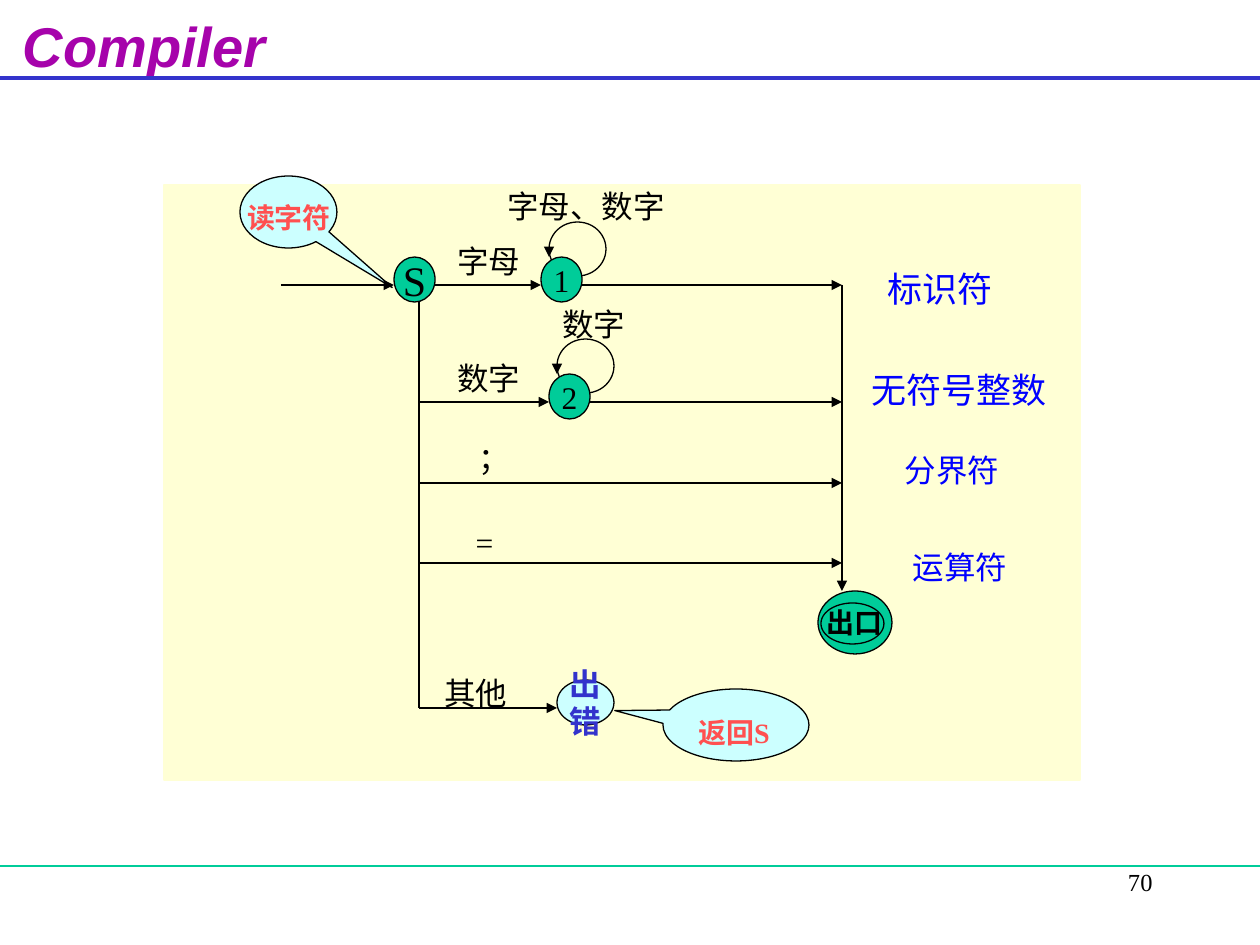
from pptx import Presentation
from pptx.dml.color import RGBColor
from pptx.enum.shapes import MSO_CONNECTOR, MSO_SHAPE
from pptx.enum.text import MSO_ANCHOR, PP_ALIGN
from pptx.oxml.ns import qn
from pptx.util import Inches, Pt
from lxml.etree import SubElement

SCALE = 914400 / 126
OVAL = MSO_SHAPE.OVAL
CALL = MSO_SHAPE.OVAL_CALLOUT
hue = RGBColor.from_string


def emu(*nums):
    return [round(num * SCALE) for num in nums]


def write(shape, words, tint, size, bold=False, face="Times New Roman",
          slant=False, align=PP_ALIGN.CENTER, anchor=MSO_ANCHOR.MIDDLE):
    frame = shape.text_frame
    frame.text = words
    frame.word_wrap = False
    frame.vertical_anchor = anchor
    form = {"name": face, "size": Pt(size), "bold": bold, "italic": slant}
    for para in frame.paragraphs:
        para.alignment = align
        para.font.color.rgb = hue(tint)
        for key, value in form.items():
            setattr(para.font, key, value)


deck = Presentation()
deck.slide_width, deck.slide_height = Inches(10), Inches(7.5)
slide = deck.slides.add_slide(deck.slide_layouts[5])
shapes = slide.shapes

title = shapes.title
place = dict(zip(("left", "top", "width", "height"), emu(10, 5, 300, 78)))
for key, value in place.items():
    setattr(title, key, value)
write(title, "Compiler", "A603AB", 32, True, "Arial", True,
      PP_ALIGN.LEFT, MSO_ANCHOR.TOP)

forms = [
    (MSO_SHAPE.RECTANGLE, (164, 185, 916, 595), "FFFFD5", "FFFFD5", None),
    (OVAL, (549, 222, 57, 54), None, "000000", None),
    (OVAL, (557, 339, 57, 54), None, "000000", None),
    (OVAL, (394, 257, 41, 45), "00CC99", "000000", ("S", "000000", 24)),
    (OVAL, (541, 257, 41, 45), "00CC99", "000000", ("1", "000000", 18)),
    (OVAL, (549, 374, 41, 45), "00CC99", "000000", ("2", "000000", 18)),
    (OVAL, (818, 591, 74, 63), "00CC99", "000000", ("出口", "000000", 16, True)),
    (OVAL, (821, 603, 63, 41), None, "000000", None),
    (OVAL, (557, 680, 57, 45), "CCFFFF", "000000", ("出\n错", "3333CC", 18, True)),
    (CALL, (240, 176, 97, 72), "CCFFFF", "000000", None),
    (CALL, (663, 689, 146, 72), "CCFFFF", "000000", None),
]
tips = {240: (1.07, 1.05), 663: (-0.83, -0.2)}
for kind, box, fill, edge, text in forms:
    shape = shapes.add_shape(kind, *emu(*box))
    shape.shadow.inherit = False
    if fill:
        shape.fill.solid()
        shape.fill.fore_color.rgb = hue(fill)
    else:
        shape.fill.background()
    shape.line.color.rgb = hue(edge)
    shape.line.width = Pt(0.75)
    if kind == CALL:
        shape.adjustments[0], shape.adjustments[1] = tips[box[0]]
    if text:
        write(shape, *text)

wires = [
    ((0, 78, 1260, 78), "3333CC", 2.25, False),
    ((0, 866, 1260, 866), "00CC99", 0.75, False),
    ((419, 302, 419, 708), "000000", 0.75, False),
]
routes = [
    (281, 285, 394, 285), (435, 285, 541, 285), (582, 285, 842, 285),
    (419, 402, 549, 402), (590, 402, 842, 402), (419, 483, 842, 483),
    (419, 563, 842, 563), (419, 708, 557, 708), (842, 285, 842, 591),
    (549, 248, 549, 257), (557, 365, 557, 374),
]
wires += [(ends, "000000", 0.75, True) for ends in routes]
for ends, tint, width, arrow in wires:
    wire = shapes.add_connector(MSO_CONNECTOR.STRAIGHT, *emu(*ends))
    wire.line.color.rgb = hue(tint)
    wire.line.width = Pt(width)
    props = wire._element.spPr
    if arrow:
        SubElement(props.find(qn("a:ln")), qn("a:tailEnd"), type="triangle")
    SubElement(props, qn("a:effectLst"))

labels = [
    ("标识符", (870, 261, 140, 55), "0000FF", 20),
    ("无符号整数", (839, 362, 240, 55), "0000FF", 20),
    ("分界符", (882, 445, 140, 50), "0000FF", 18),
    ("运算符", (890, 542, 140, 50), "0000FF", 18),
    ("字母", (439, 236, 100, 50), "000000", 18),
    ("字母、数字", (486, 181, 200, 50), "000000", 18),
    ("数字", (439, 353, 100, 50), "000000", 18),
    ("数字", (544, 299, 100, 50), "000000", 18),
    ("；", (466, 433, 57, 50), "000000", 18),
    ("=", (463, 517, 43, 50), "000000", 18),
    ("其他", (426, 668, 100, 50), "000000", 18),
    ("读字符", (219, 194, 140, 47), "FF5050", 16),
    ("返回S", (664, 709, 140, 47), "FF5050", 16),
]
for words, box, tint, size in labels:
    write(shapes.add_textbox(*emu(*box)), words, tint, size, size == 16)

page = shapes.add_textbox(*emu(903, 861, 262, 63))
write(page, "70", "000000", 14, align=PP_ALIGN.RIGHT, anchor=MSO_ANCHOR.TOP)

deck.save("out.pptx")
